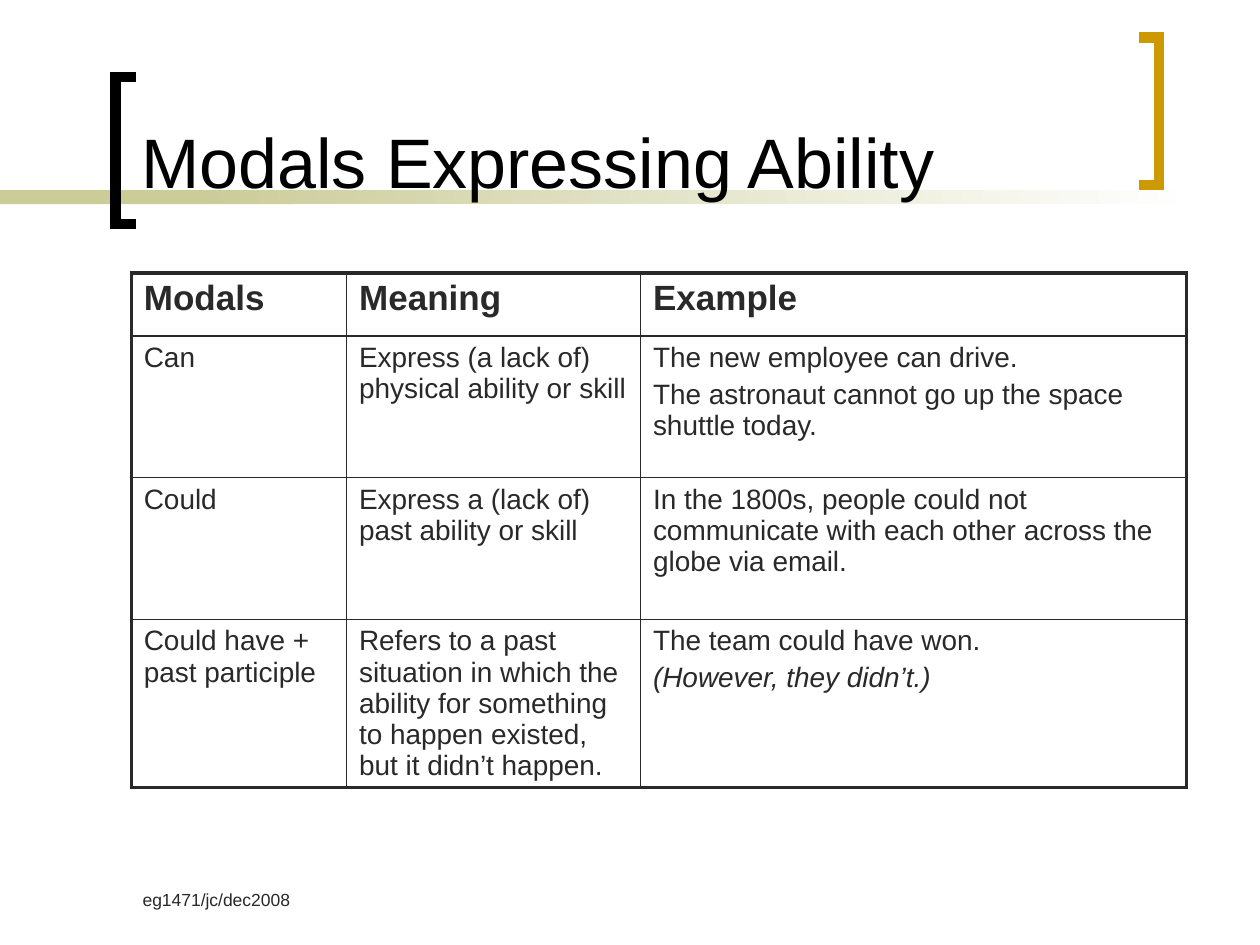
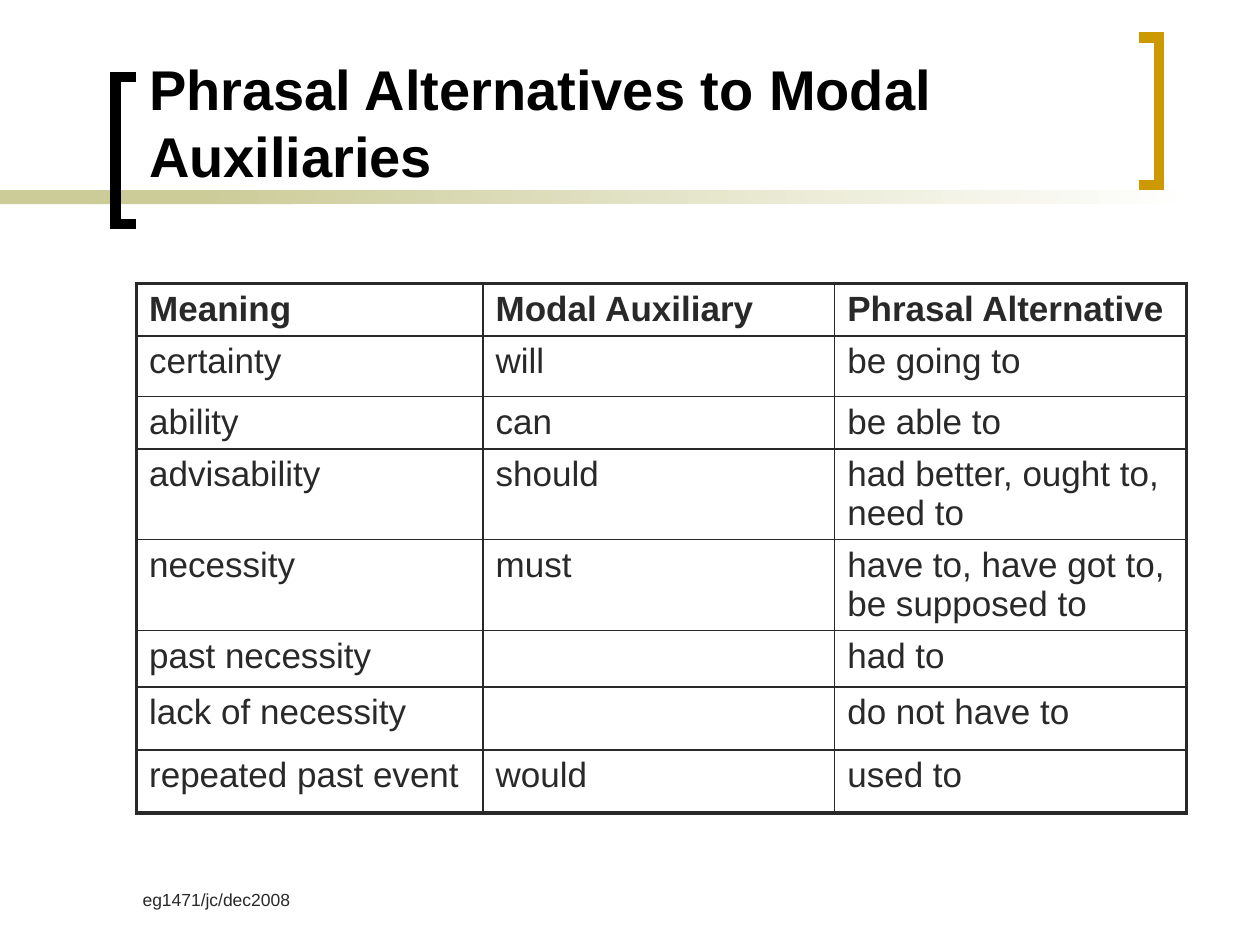
from dataclasses import dataclass

import pptx
import pptx.util
import pptx.dml.color
import pptx.enum.shapes
import pptx.enum.text
import pptx.oxml
import pptx.oxml.ns
from lxml import etree

Pt = pptx.util.Pt
ANCHOR = pptx.enum.text.MSO_ANCHOR
UNIT = pptx.util.Inches(1) / 12     # the grid: 120 columns by 90 rows
COLS, ROWS = 120, 90


@dataclass(frozen=True)
class Theme:
    font: str = "Arial"
    paper: str = "FFFFFF"
    title: str = "000000"
    text: str = "292929"
    band: str = "CCCC99"
    accent: str = "CC9900"
    head_pt: float = 20
    foot_pt: float = 10
    bracket_pt: float = 6
    outer_pt: float = 2.25
    inner_pt: float = 1


def grid(*lengths):
    """Turn grid columns or rows into EMU."""
    return [round(n * UNIT) for n in lengths]


def rgb(hex_code):
    return pptx.dml.color.RGBColor.from_string(hex_code)


class Deck:
    def __init__(self, theme):
        self.theme = theme
        self.prs = pptx.Presentation()
        self.prs.slide_width, self.prs.slide_height = grid(COLS, ROWS)
        self.s = None

    def style(self, p, size, color, bold=False, italic=False):
        p.font.name = self.theme.font
        p.font.size = Pt(size)
        p.font.color.rgb = rgb(color)
        p.font.bold = bold
        p.font.italic = italic

    # Slide frame: bands, brackets, footer and title
    def slide(self, title, at, size, bold=False):
        t = self.theme
        self.s = self.prs.slides.add_slide(self.prs.slide_layouts[5])
        self.s.background.fill.solid()
        self.s.background.fill.fore_color.rgb = rgb(t.paper)
        self.band(0, 28)
        self.band(19, 95, fade=True)
        self.bracket(13, 11, 7.32, t.title)
        self.bracket(108.5, 110.4, 3.6, t.accent)
        self.footer("eg1471/jc/dec2008")
        self.title(title, at, size, bold)

    def band(self, left, width, fade=False):
        t = self.theme
        sp = self.s.shapes.add_shape(pptx.enum.shapes.MSO_SHAPE.RECTANGLE,
                                     *grid(left, 18.12, width, 1.32))
        sp.shadow.inherit = False
        sp.line.fill.background()
        if fade:
            sp.fill.gradient()
            sp.fill.gradient_angle = 0
            for i, color in enumerate((t.band, t.paper)):
                stop = sp.fill.gradient_stops[i]
                stop.color.rgb = rgb(color)
                stop.position = i
        else:
            sp.fill.solid()
            sp.fill.fore_color.rgb = rgb(t.band)

    def bracket(self, tip, spine, top, color, height=14.04):
        x_tip, x_spine, y_top, y_end = grid(tip, spine, top, top + height)
        outline = self.s.shapes.build_freeform(x_tip, y_top, scale=1.0)
        outline.add_line_segments(
            [(x_spine, y_top), (x_spine, y_end), (x_tip, y_end)], close=False)
        sp = outline.convert_to_shape()
        sp.shadow.inherit = False
        sp.fill.background()
        sp.line.color.rgb = rgb(color)
        sp.line.width = Pt(self.theme.bracket_pt)
        # Square corners
        miter = etree.SubElement(sp.line._get_or_add_ln(),
                                 pptx.oxml.ns.qn("a:miter"))
        miter.set("lim", "800000")

    def footer(self, text):
        tf = self.s.shapes.add_textbox(*grid(12.4, 82, 25, 6)).text_frame
        tf.word_wrap = True
        tf.vertical_anchor = ANCHOR.BOTTOM
        tf.margin_bottom = pptx.util.Inches(0.11)
        p = tf.paragraphs[0]
        p.text = text
        self.style(p, self.theme.foot_pt, self.theme.text)

    def title(self, text, at, size, bold):
        sp = self.s.shapes.title
        sp.left, sp.top, sp.width, sp.height = grid(*at, 94, 18.6)
        tf = sp.text_frame
        tf.text = text
        tf.word_wrap = True
        tf.auto_size = pptx.enum.text.MSO_AUTO_SIZE.NONE
        tf.vertical_anchor = ANCHOR.BOTTOM
        p = tf.paragraphs[0]
        p.alignment = pptx.enum.text.PP_ALIGN.LEFT
        self.style(p, size, self.theme.title, bold)
        # Bring the title in front of the bands
        self.s.shapes._spTree.append(sp._element)

    # Table: heavy outer frame, thin inner rules, bold first row
    def table(self, at, widths, heights, rows, size):
        t = self.theme
        frame = self.s.shapes.add_table(
            len(rows), len(widths), *grid(*at, sum(widths), sum(heights)))
        tbl = frame.table
        tbl.first_row = tbl.horz_banding = False
        for col, width in zip(tbl.columns, grid(*widths)):
            col.width = width
        for row, height in zip(tbl.rows, grid(*heights)):
            row.height = height
        for i, row in enumerate(rows):
            for j, text in enumerate(row):
                cell = tbl.cell(i, j)
                outer = {"L": j == 0, "R": j == len(row) - 1,
                         "T": i == 0, "B": i == len(rows) - 1}
                self.borders(cell, outer)
                cell.fill.background()
                cell.text = text
                pt = size if i else t.head_pt
                for p in cell.text_frame.paragraphs:
                    # A remark in brackets is set in italics
                    self.style(p, pt, t.text, bold=i == 0,
                               italic=p.text.startswith("("))
                    p.space_before = Pt(0.2 * pt)

    def borders(self, cell, outer):
        t = self.theme
        tc_pr = cell._tc.get_or_add_tcPr()
        for side, heavy in outer.items():
            width = Pt(t.outer_pt if heavy else t.inner_pt)
            tc_pr.append(pptx.oxml.parse_xml(
                f'<a:ln{side} {pptx.oxml.ns.nsdecls("a")} w="{width}">'
                f'<a:solidFill><a:srgbClr val="{t.text}"/></a:solidFill>'
                f'</a:ln{side}>'))


deck = Deck(Theme())

# Slide 1: ability
deck.slide("Modals Expressing Ability", (12.25, 1.32), 40)
deck.table((12.5, 26), (20.5, 28, 52), (6, 13.5, 13.5, 16), [
    ("Modals", "Meaning", "Example"),
    ("Can", "Express (a lack of) physical ability or skill",
     "The new employee can drive.\n"
     "The astronaut cannot go up the space shuttle today."),
    ("Could", "Express a (lack of) past ability or skill",
     "In the 1800s, people could not communicate with each other "
     "across the globe via email."),
    ("Could have + past participle",
     "Refers to a past situation in which the ability for something "
     "to happen existed, but it didn’t happen.",
     "The team could have won.\n(However, they didn’t.)"),
], size=16)

# Slide 2: phrasal alternatives
deck.slide("Phrasal Alternatives to Modal Auxiliaries", (13, 0), 32, bold=True)
deck.table((13, 27), (33, 33.5, 33.5),
           (5, 5.75, 5, 8.64, 8.64, 5.4, 6, 6), [
    ("Meaning", "Modal Auxiliary", "Phrasal Alternative"),
    ("certainty", "will", "be going to"),
    ("ability", "can", "be able to"),
    ("advisability", "should", "had better, ought to, need to"),
    ("necessity", "must", "have to, have got to, be supposed to"),
    ("past necessity", "", "had to"),
    ("lack of necessity", "", "do not have to"),
    ("repeated past event", "would", "used to"),
], size=20)

deck.prs.save("out.pptx")
